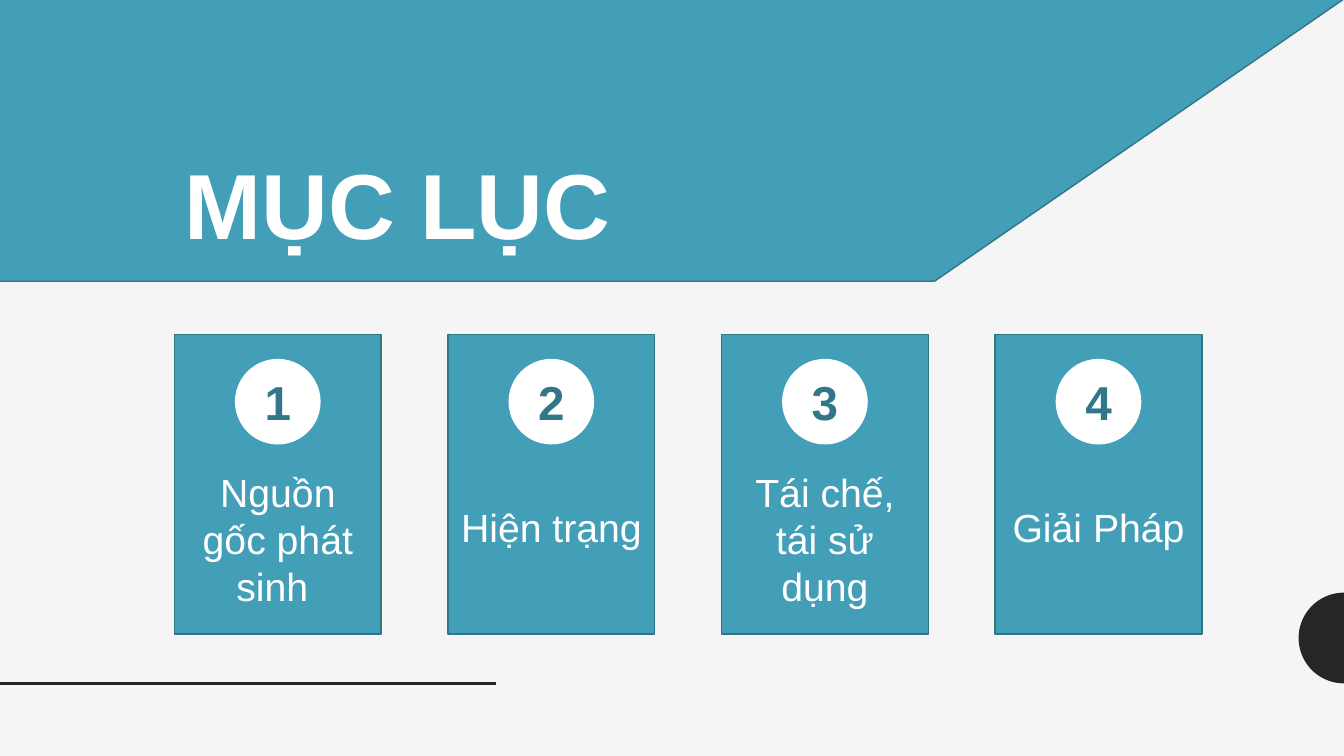
"""Build the table-of-contents slide with four numbered cards."""
from dataclasses import dataclass
from math import cos, pi, sin

from lxml import etree
from pptx import Presentation
from pptx.dml.color import RGBColor
from pptx.enum import shapes, text
from pptx.oxml import ns
from pptx.util import Inches, Pt


@dataclass(frozen=True)
class Theme:
    """Colours, font and type sizes."""
    background: str = "F5F5F5"
    teal: str = "439EB7"
    outline: str = "327587"
    number: str = "327689"
    dark: str = "262626"
    white: str = "FFFFFF"
    font: str = "Arial"
    title_size: int = 66
    number_size: int = 34
    label_size: int = 28


@dataclass(frozen=True)
class Box:
    """A rectangle in inches."""
    left: float
    top: float
    width: float
    height: float

    def emu(self) -> tuple:
        """Return the four lengths for python-pptx."""
        return tuple(Inches(v) for v in (self.left, self.top, self.width, self.height))


@dataclass(frozen=True)
class Card:
    """A numbered entry and the place of its label."""
    label: str
    label_top: float
    label_height: float


THEME = Theme()
CARDS = (
    Card("Nguồn gốc phát sinh ", 4.6, 1.51),
    Card("Hiện trạng", 4.94, 0.57),
    Card("Tái chế, tái sử dụng", 4.6, 1.51),
    Card("Giải Pháp", 4.94, 0.57),
)
SLIDE_WIDTH, SLIDE_HEIGHT = 13.33, 7.5
CARD_LEFT, CARD_TOP, CARD_WIDTH, CARD_HEIGHT = 1.73, 3.32, 2.05, 2.97
CARD_STEP = (9.87 - CARD_LEFT) / (len(CARDS) - 1)
BADGE_TOP, BADGE_SIZE = 3.56, 0.85


def rgb(colour: str) -> RGBColor:
    """Return a colour object for a hex code."""
    return RGBColor.from_string(colour)


def paint(sp, fill: str, line: str | None = None) -> None:
    """Set fill and outline, and drop the shadow."""
    sp.shadow.inherit = False
    sp.fill.solid()
    sp.fill.fore_color.rgb = rgb(fill)
    if line:
        sp.line.color.rgb = rgb(line)
        sp.line.width = Pt(1)
    else:
        sp.line.fill.background()


def add_preset(slide, kind, box: Box, fill: str, line: str | None = None):
    """Add a painted preset shape."""
    sp = slide.shapes.add_shape(kind, *box.emu())
    paint(sp, fill, line)
    return sp


def write(sp, words: str, size: int, colour: str, bold: bool = False,
          align=text.PP_ALIGN.CENTER, wrap: bool = True) -> None:
    """Write one formatted paragraph into a shape."""
    tf = sp.text_frame
    tf.text = words
    tf.word_wrap = wrap
    p = tf.paragraphs[0]
    p.alignment = align
    font = p.runs[0].font
    font.name, font.size, font.bold = THEME.font, Pt(size), bold
    font.color.rgb = rgb(colour)


def add_label(slide, box: Box, words: str, size: int, **style) -> None:
    """Add a white text box that grows with its text."""
    sp = slide.shapes.add_textbox(*box.emu())
    write(sp, words, size, THEME.white, **style)
    sp.text_frame.auto_size = text.MSO_AUTO_SIZE.SHAPE_TO_FIT_TEXT


def add_half_disc(slide, centre_y: float, radius: float, steps: int = 48) -> None:
    """Add a dark half disc on the right edge."""
    angles = [pi / 2 + pi * i / steps for i in range(steps + 1)]
    points = [(Inches(SLIDE_WIDTH + radius * cos(a)), Inches(centre_y + radius * sin(a)))
              for a in angles]
    builder = slide.shapes.build_freeform(*points[0])
    builder.add_line_segments(points[1:], close=True)
    paint(builder.convert_to_shape(), THEME.dark)


def add_rule(slide, y: float, length: float) -> None:
    """Add the dark rule from the left edge."""
    rule = slide.shapes.add_connector(shapes.MSO_CONNECTOR.STRAIGHT, 0, Inches(y),
                                      Inches(length), Inches(y))
    rule.line.color.rgb = rgb(THEME.dark)
    rule.line.width = Pt(2)
    etree.SubElement(rule._element.spPr, ns.qn("a:effectLst"))


def add_banner(slide) -> None:
    """Add the slanted banner and the title."""
    banner = add_preset(slide, shapes.MSO_SHAPE.PARALLELOGRAM,
                        Box(-5.44, -0.01, 18.77, 2.8), THEME.teal, THEME.outline)
    banner.adjustments[0] = 1.45
    add_label(slide, Box(CARD_LEFT, 1.41, 4.47, 1.21), "MỤC LỤC", THEME.title_size,
              bold=True, align=text.PP_ALIGN.LEFT, wrap=False)


def add_card(slide, index: int, card: Card) -> None:
    """Add one card with its numbered badge and label."""
    left = CARD_LEFT + index * CARD_STEP
    add_preset(slide, shapes.MSO_SHAPE.RECTANGLE,
               Box(left, CARD_TOP, CARD_WIDTH, CARD_HEIGHT), THEME.teal, THEME.outline)
    badge_left = left + (CARD_WIDTH - BADGE_SIZE) / 2
    badge = add_preset(slide, shapes.MSO_SHAPE.OVAL,
                       Box(badge_left, BADGE_TOP, BADGE_SIZE, BADGE_SIZE), THEME.white)
    write(badge, str(index + 1), THEME.number_size, THEME.number, bold=True)
    badge.text_frame.vertical_anchor = text.MSO_ANCHOR.MIDDLE
    add_label(slide, Box(left, card.label_top, CARD_WIDTH, card.label_height),
              card.label, THEME.label_size)


def main() -> None:
    """Build and save the slide."""
    prs = Presentation()
    prs.slide_width, prs.slide_height = Inches(SLIDE_WIDTH), Inches(SLIDE_HEIGHT)
    slide = prs.slides.add_slide(prs.slide_layouts[6])
    slide.background.fill.solid()
    slide.background.fill.fore_color.rgb = rgb(THEME.background)
    add_half_disc(slide, centre_y=6.33, radius=0.45)
    add_rule(slide, y=6.78, length=4.92)
    add_banner(slide)
    for index, card in enumerate(CARDS):
        add_card(slide, index, card)
    prs.save("out.pptx")


if __name__ == "__main__":
    main()
